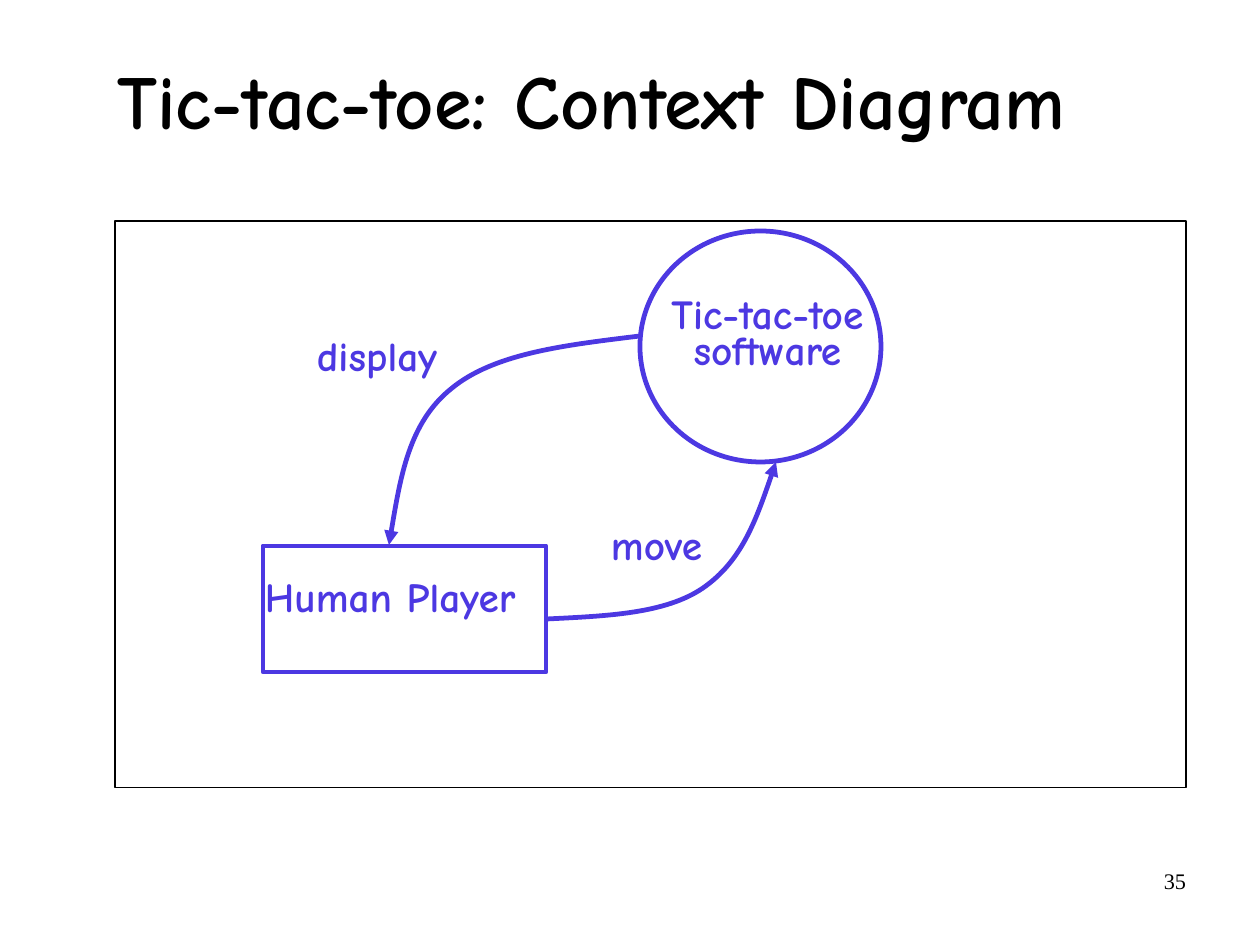
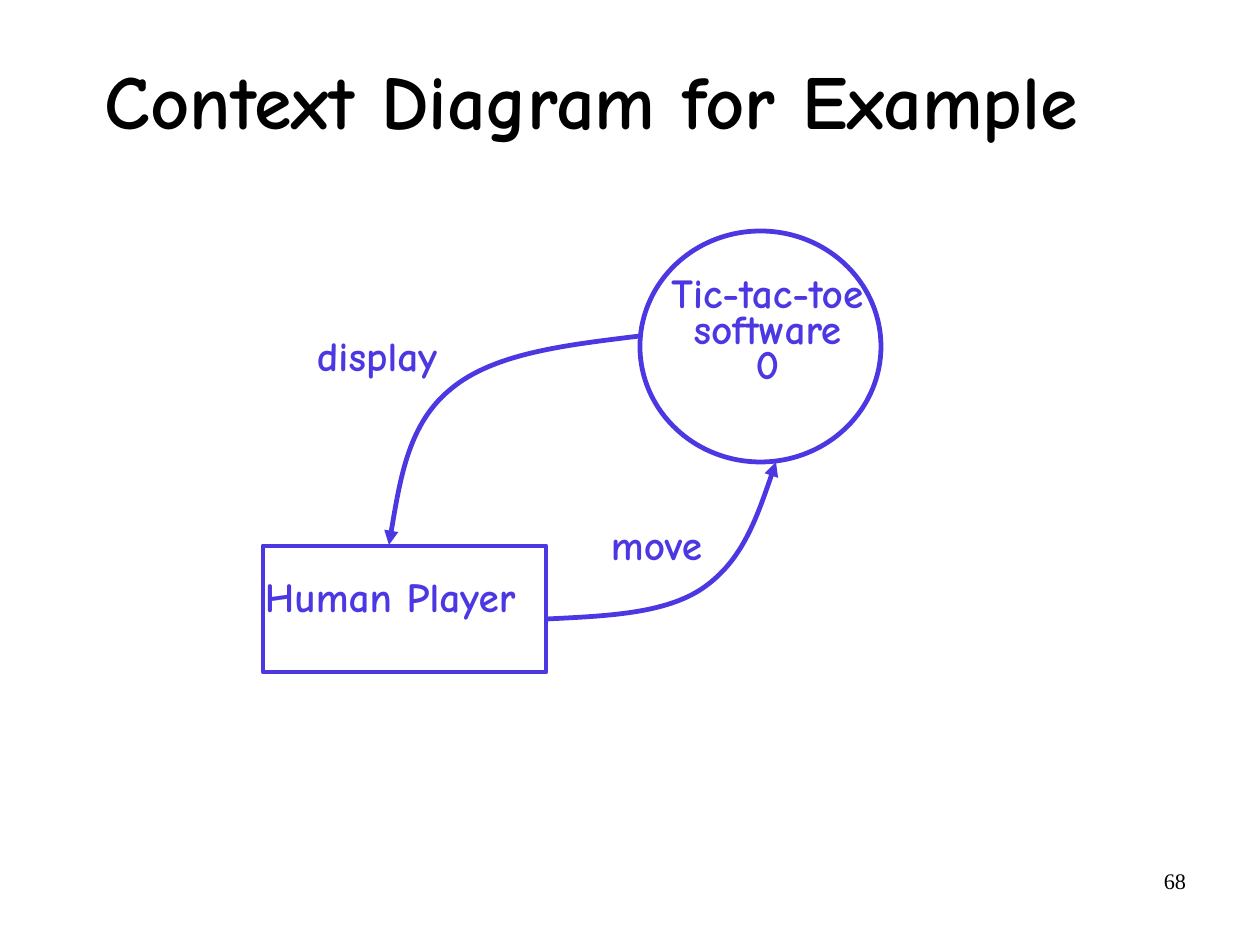
from lxml import etree
from pptx import Presentation
from pptx.dml.color import RGBColor
from pptx.enum.shapes import MSO_SHAPE
from pptx.enum.text import MSO_ANCHOR, PP_ALIGN
from pptx.oxml.ns import qn
from pptx.util import Pt

PX = 8000  # EMU per pixel
SLIDE_SIZE = (1260, 945)
BLANK_LAYOUT = 6

BLACK = RGBColor(0x00, 0x00, 0x00)
VIOLET = RGBColor(0x4C, 0x38, 0xE2)
TITLE_FONT = "Comic Neue"
NUMBER_FONT = "Times New Roman"

LEFT, CENTER, RIGHT = PP_ALIGN.LEFT, PP_ALIGN.CENTER, PP_ALIGN.RIGHT
TOP, MIDDLE = MSO_ANCHOR.TOP, MSO_ANCHOR.MIDDLE
RECTANGLE, OVAL = MSO_SHAPE.RECTANGLE, MSO_SHAPE.OVAL

# Content: what differs between the slides
SLIDES = [
    {"title": "Tic-tac-toe: Context Diagram", "number": "35", "framed": True,
     "software": "Tic-tac-toe software", "software_at": (652, 294, 231, 113)},
    {"title": "Context Diagram for Example", "number": "68", "framed": False,
     "software": "Tic-tac-toe software\v0", "software_at": (652, 273, 231, 163)},
]

# Shared places: left, top, width, height
TITLE_AT = (56, 25, 1071, 157)
NUMBER_AT = (903, 861, 294, 65)
FRAME_AT = (115, 221, 1071, 567)
SOFTWARE_CIRCLE = (640, 231, 241, 231)
PLAYER_BOX = (263, 546, 283, 126)
LABELS = [
    ("Human Player", (263, 577, 294, 63)),
    ("display", (315, 336, 189, 63)),
    ("move", (609, 525, 221, 63)),
]

# Flows: a start point, then three points for each Bezier piece
FLOWS = [
    [(640, 336), (567, 345), (494, 353), (451, 389),
     (409, 423), (399, 485), (389, 545)],
    [(546, 619), (606, 616), (665, 614), (703, 588),
     (742, 561), (759, 512), (776, 462)],
]


def emu(lengths):
    return [length * PX for length in lengths]


def add_text(page, text, at, size=26, font=TITLE_FONT, color=VIOLET, bold=True,
             align=LEFT, anchor=TOP, line_spacing=0.72, space_before=15,
             insets=(2, 7)):
    frame = page.shapes.add_textbox(*emu(at)).text_frame
    frame.word_wrap = True
    frame.vertical_anchor = anchor
    frame.margin_left = frame.margin_right = insets[0] * PX
    frame.margin_top = frame.margin_bottom = insets[1] * PX
    para = frame.paragraphs[0]
    para.text = text
    para.alignment = align
    para.line_spacing = line_spacing
    para.space_before = Pt(space_before)
    for span in para.runs:
        span.font.name = font
        span.font.size = Pt(size)
        span.font.bold = bold
        span.font.color.rgb = color


def style_outline(shape, color, width):
    shape.shadow.inherit = False
    shape.fill.background()
    shape.line.color.rgb = color
    shape.line.width = Pt(width)


def add_outline(page, kind, at, color=VIOLET, width=3):
    style_outline(page.shapes.add_shape(kind, *emu(at)), color, width)


def add_flow(page, points):
    builder = page.shapes.build_freeform(*points[0], scale=PX)
    builder.add_line_segments(points[1:], close=False)
    flow = builder.convert_to_shape()
    style_outline(flow, VIOLET, 3)

    # Join every three points into one Bezier piece
    steps = list(flow.element.iter(qn("a:lnTo")))
    for first in range(0, len(steps), 3):
        piece = steps[first:first + 3]
        curve = etree.Element(qn("a:cubicBezTo"))
        piece[0].addprevious(curve)
        for step in piece:
            curve.append(step[0])
            step.getparent().remove(step)

    # Arrowhead at the end
    etree.SubElement(flow.line._get_or_add_ln(), qn("a:tailEnd"), type="triangle")


def build_slide(deck, content):
    page = deck.slides.add_slide(deck.slide_layouts[BLANK_LAYOUT])

    # Title and page number
    add_text(page, content["number"], NUMBER_AT, size=14, font=NUMBER_FONT,
             color=BLACK, bold=False, align=RIGHT, line_spacing=1,
             space_before=0, insets=(11, 6))
    add_text(page, content["title"], TITLE_AT, size=48, color=BLACK,
             align=CENTER, anchor=MIDDLE, line_spacing=0.94, space_before=9.9)

    # Context diagram
    if content["framed"]:
        add_outline(page, RECTANGLE, FRAME_AT, color=BLACK, width=0.75)
    add_outline(page, OVAL, SOFTWARE_CIRCLE)
    add_outline(page, RECTANGLE, PLAYER_BOX)
    add_text(page, content["software"], content["software_at"], align=CENTER)
    for points in FLOWS:
        add_flow(page, points)
    for text, at in LABELS:
        add_text(page, text, at)


def main():
    deck = Presentation()
    deck.slide_width, deck.slide_height = emu(SLIDE_SIZE)
    for content in SLIDES:
        build_slide(deck, content)
    deck.save("out.pptx")


if __name__ == "__main__":
    main()
